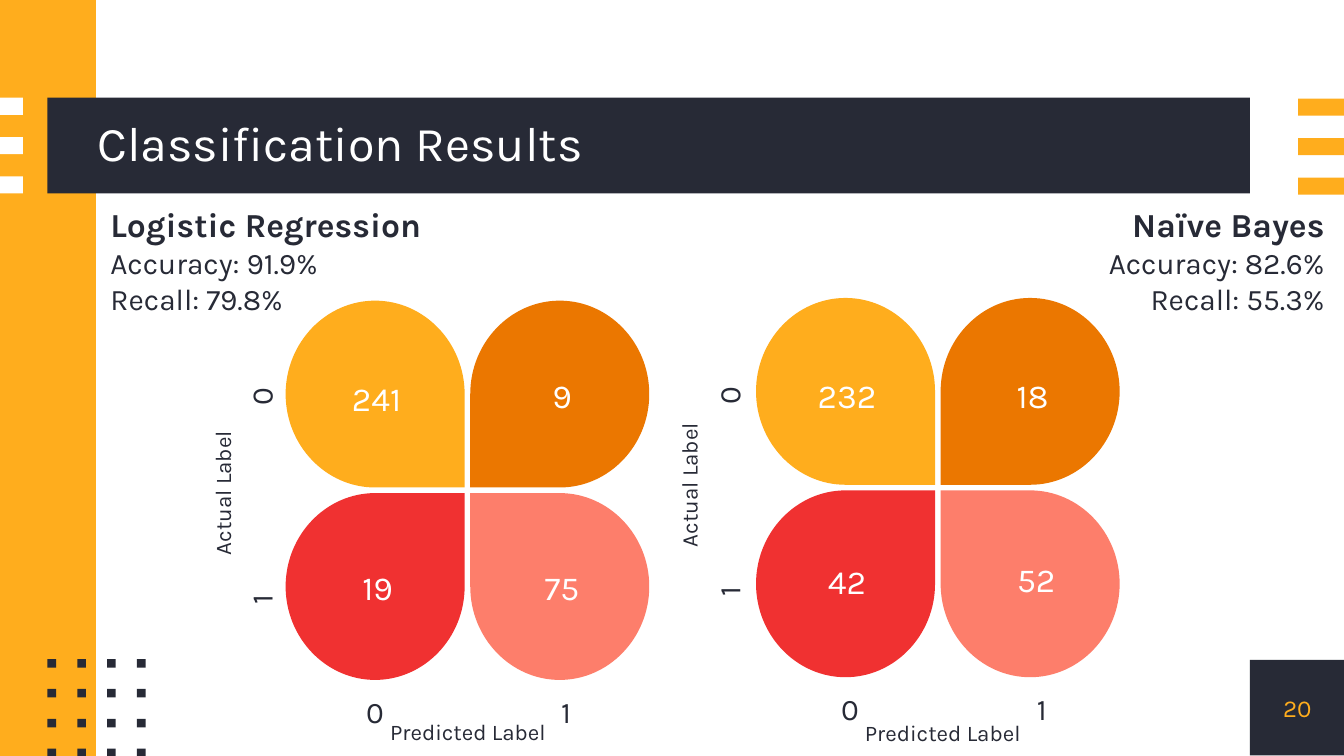
"""Build the classification results slide with two petal confusion matrices."""
from dataclasses import dataclass
from itertools import product

from lxml import etree
from pptx import Presentation
from pptx import util as u
from pptx.dml.color import RGBColor
from pptx.enum import shapes, text
from pptx.oxml import ns

COLORS = {
    "navy": "272A36", "amber": "FFAD1D", "white": "FFFFFF",
    "orange": "EB7700", "red": "F03131", "salmon": "FD7E6B",
}
FONT = "Karla"
COLUMNS, ROWS = 100, 56.25
CELL = u.Inches(10) / COLUMNS
PETAL_RADII = (6.66, 6.95)
PETAL_GAP = 0.21
NEAR, FAR = 0.45, 1.55
PETAL_OUTLINE = ((1, 0), (FAR, 0), (2, NEAR), (2, 1), (2, FAR), (FAR, 2), (1, 2),
                 (NEAR, 2), (0, FAR), (0, 1))
QUADRANTS = list(product((-1, 1), (-1, 1)))
PETAL_COLORS = ("amber", "orange", "red", "salmon")
VALUE_SIZE = (13.8, 5.9)
TURNED_SIZE = (14.3, 5.7)
CAPTION_SIZE = (16.1, 5.9)


@dataclass(frozen=True)
class Box:
    col: float
    row: float
    cols: float
    rows: float

    def emu(self) -> list[int]:
        return [round(v * CELL) for v in (self.col, self.row, self.cols, self.rows)]


@dataclass(frozen=True)
class Line:
    content: str
    size: float
    color: str = "navy"
    bold: bool = False


@dataclass(frozen=True)
class Classifier:
    name: str
    accuracy: str
    recall: str
    summary_col: float
    align: text.PP_ALIGN
    center: tuple[float, float]
    values: tuple[tuple[str, float, float], ...]
    actual_caption: tuple[float, float]
    actual_ticks: tuple[tuple[float, float], ...]
    predicted_caption: tuple[float, float]
    predicted_ticks: tuple[tuple[float, float], ...]


CLASSIFIERS = (
    Classifier(
        "Logistic Regression", "91.9%", "79.8%", 8.22, text.PP_ALIGN.LEFT, (34.78, 36.48),
        (("241", 21.12, 25.2), ("9", 34.92, 25), ("19", 21.2, 39.25), ("75", 34.92, 39.25)),
        (7.54, 33.84), ((10.74, 26.65), (10.74, 41.74)),
        (26.77, 49.54), ((21, 48.35), (35.22, 48.35)),
    ),
    Classifier(
        "Naïve Bayes", "82.6%", "55.3%", 60.56, text.PP_ALIGN.RIGHT, (69.78, 36.28),
        (("232", 56.13, 25), ("18", 69.93, 25), ("42", 56.13, 38.84), ("52", 70.2, 38.7)),
        (42.24, 33.24), ((45.54, 26.6), (45.54, 41.14)),
        (62.1, 49.64), ((56.34, 48.14), (70.62, 48.14)),
    ),
)


def paint(shape, color: str) -> None:
    shape.shadow.inherit = False
    shape.fill.solid()
    shape.fill.fore_color.rgb = RGBColor.from_string(COLORS[color])
    shape.line.fill.background()


def add_block(slide, box: Box, color: str) -> None:
    paint(slide.shapes.add_shape(shapes.MSO_SHAPE.RECTANGLE, *box.emu()), color)


def add_text(slide, box: Box, lines: list[Line], align=text.PP_ALIGN.CENTER,
             anchor=text.MSO_ANCHOR.BOTTOM, rotation: float = 0, spacing: float = 1) -> None:
    label = slide.shapes.add_textbox(*box.emu())
    label.rotation = rotation
    frame = label.text_frame
    frame.word_wrap = True
    frame.vertical_anchor = anchor
    frame.margin_left = frame.margin_right = frame.margin_top = frame.margin_bottom = 0
    frame.text = "\n".join(line.content for line in lines)
    for paragraph, line in zip(frame.paragraphs, lines):
        paragraph.alignment = align
        paragraph.line_spacing = spacing
        for run in paragraph.runs:
            run.font.name = FONT
            run.font.size = u.Pt(line.size)
            run.font.bold = line.bold
            run.font.color.rgb = RGBColor.from_string(COLORS[line.color])


def round_outline(petal) -> None:
    """Turn all segments after the first into cubic curves, three points each."""
    segments = list(petal.element.iter(ns.qn("a:lnTo")))[1:10]
    for start in range(0, len(segments), 3):
        curve = etree.Element(ns.qn("a:cubicBezTo"))
        segments[start].addprevious(curve)
        for segment in segments[start:start + 3]:
            curve.append(segment[0])
            segment.getparent().remove(segment)


def add_petal(slide, center: tuple[float, float], across: int, down: int, color: str) -> None:
    rx, ry = PETAL_RADII
    tip, *outline = [(round((center[0] + across * (PETAL_GAP + rx * x)) * CELL),
                      round((center[1] + down * (PETAL_GAP + ry * y)) * CELL))
                     for x, y in ((0, 0), *PETAL_OUTLINE)]
    builder = slide.shapes.build_freeform(*tip)
    builder.add_line_segments(outline, close=True)
    petal = builder.convert_to_shape()
    round_outline(petal)
    paint(petal, color)


def add_frame(slide) -> None:
    page_number = Box(93, 49.1, 7.05, 7.12)
    add_block(slide, page_number, "navy")
    add_block(slide, Box(0, 0, 7.14, ROWS), "amber")
    add_block(slide, Box(3.52, 7.27, 89.48, 7.13), "navy")
    for i in range(3):
        add_block(slide, Box(0, 7.27 + 2.93 * i, 1.7, 1.27), "white")
        add_block(slide, Box(96.6, 7.34 + 2.94 * i, 3.4, 1.27), "amber")
    for row, col in product(range(4), repeat=2):
        add_block(slide, Box(3.53 + 2.22 * col, 49.04 + 2.22 * row, 0.64, 0.64), "navy")
    add_text(slide, Box(7.24, 7.27, 85.76, 7.13), [Line("Classification Results", 26, "white")],
             text.PP_ALIGN.LEFT, text.MSO_ANCHOR.MIDDLE, spacing=0.9)
    add_text(slide, page_number, [Line("20", 13, "amber")], anchor=text.MSO_ANCHOR.MIDDLE)


def add_classifier(slide, model: Classifier) -> None:
    for (down, across), color in zip(QUADRANTS, PETAL_COLORS):
        add_petal(slide, model.center, across, down, color)
    for value, col, row in model.values:
        add_text(slide, Box(col, row, *VALUE_SIZE), [Line(value, 18, "white")])
    add_text(slide, Box(*model.actual_caption, *TURNED_SIZE),
             [Line("Actual Label", 12)], rotation=270)
    add_text(slide, Box(*model.predicted_caption, *CAPTION_SIZE), [Line("Predicted Label", 12)])
    for tick, place in enumerate(model.actual_ticks):
        add_text(slide, Box(*place, *TURNED_SIZE), [Line(str(tick), 16)], rotation=270)
    for tick, place in enumerate(model.predicted_ticks):
        add_text(slide, Box(*place, *VALUE_SIZE), [Line(str(tick), 16)])
    summary = [Line(model.name, 18, bold=True), Line(f"Accuracy: {model.accuracy}", 16),
               Line(f"Recall: {model.recall}", 16)]
    add_text(slide, Box(model.summary_col, 12.95, 38, 10.58), summary, model.align)


def main() -> None:
    deck = Presentation()
    deck.slide_width = round(COLUMNS * CELL)
    deck.slide_height = round(ROWS * CELL)
    slide = deck.slides.add_slide(deck.slide_layouts[6])
    add_frame(slide)
    for model in CLASSIFIERS:
        add_classifier(slide, model)
    deck.save("out.pptx")


if __name__ == "__main__":
    main()
